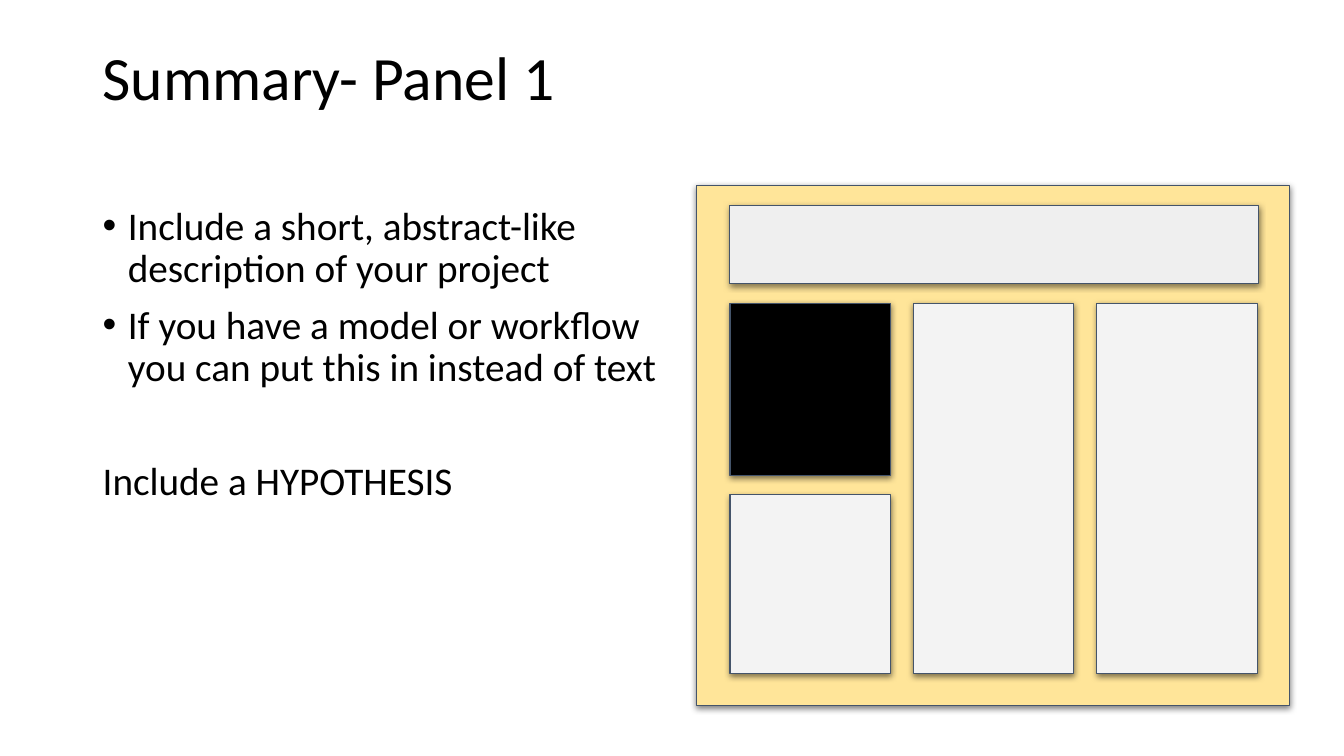
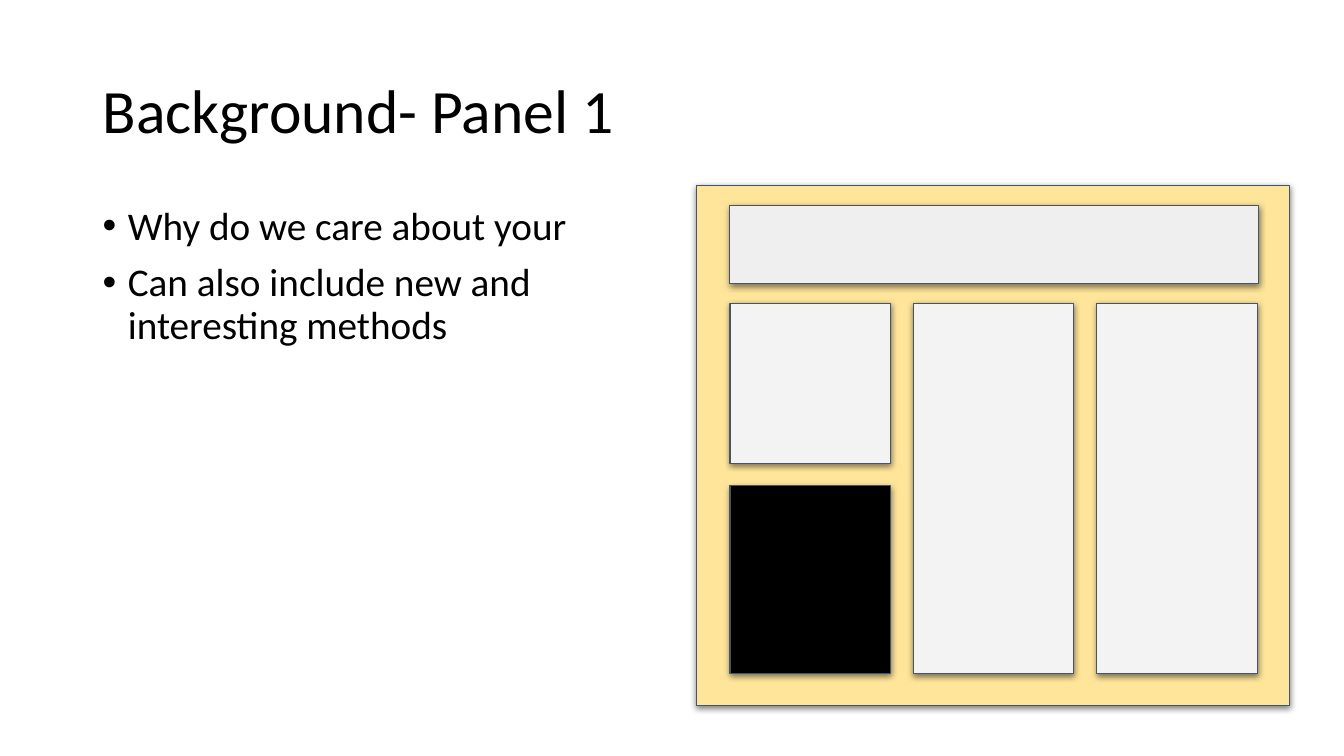
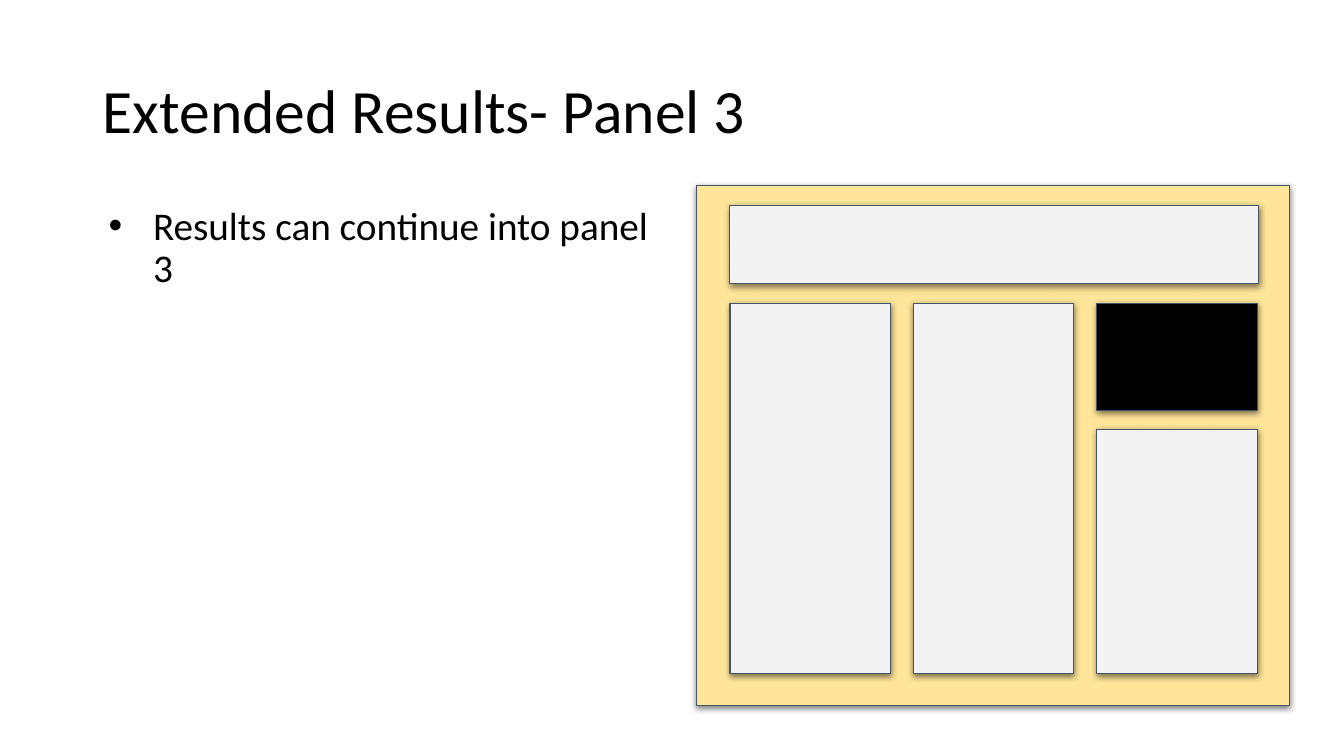
from dataclasses import dataclass

from lxml.etree import SubElement
from pptx import Presentation
from pptx.dml.color import RGBColor
from pptx.enum.shapes import MSO_SHAPE as Shape
from pptx.enum.text import MSO_ANCHOR as Anchor
from pptx.oxml.ns import qn
from pptx.util import Inches, Pt

# Shared style
FONT = "Calibri"
BLACK, BOARD, PANEL, HEADER, OUTLINE = "000000", "FFE599", "F3F3F3", "EFEFEF", "44546A"
TITLE_SIZE, BODY_SIZE = 44, 28

# Poster grid, in inches
COL_LEFT, COL_WIDTH, COL_STEP, COLS = 7.24, 1.59, 1.82, 3
COL_TOP, COL_HEIGHT = 3.01, 3.67


@dataclass(frozen=True)
class Para:
    text: str
    indent: float = 0.25
    hanging: float = 0.25
    before: float = 0
    bullet: bool = True


@dataclass(frozen=True)
class Split:
    """A poster column cut into an upper and a lower panel, one of them black."""
    col: int
    upper: float
    lower: float
    black_upper: bool


@dataclass(frozen=True)
class Page:
    title: str
    paras: list[Para]
    split: Split
    title_top: float = 0.4
    body_width: float = 5.75
    header: str = HEADER


PAGES = [
    Page("Summary- Panel 1",
         [Para("Include a short, abstract-like description of your project"),
          Para("If you have a model or workflow you can put this in instead of text", before=10),
          Para("Include a HYPOTHESIS", indent=0, hanging=0, before=51, bullet=False)],
         Split(0, 1.71, 1.77, True), title_top=0.07),
    Page("Background- Panel 1",
         [Para("Why do we care about your"),
          Para("Can also include new and interesting methods", before=10)],
         Split(0, 1.59, 1.86, False), body_width=5.77),
    Page("Extended Results- Panel 3",
         [Para("Results can continue into panel 3", indent=0.5, hanging=0.44)],
         Split(2, 1.06, 2.42, True), body_width=5.74, header=PANEL),
]


def rgb(color: str) -> RGBColor:
    return RGBColor.from_string(color)


def add_text(s, left: float, top: float, width: float, height: float,
             paras: list[Para], size: float, anchor=Anchor.TOP) -> None:
    tf = s.shapes.add_textbox(*map(Inches, (left, top, width, height))).text_frame
    tf.word_wrap = True
    tf.vertical_anchor = anchor
    for i, para in enumerate(paras):
        p = tf.paragraphs[0] if i == 0 else tf.add_paragraph()
        p.line_spacing = 0.9
        p.space_before = Pt(para.before)
        if para.bullet:
            pPr = p._p.get_or_add_pPr()
            pPr.set("marL", str(Inches(para.indent)))
            pPr.set("indent", str(-Inches(para.hanging)))
            SubElement(pPr, qn("a:buFont"), typeface="Arial")
            SubElement(pPr, qn("a:buChar"), char="•")
        r = p.add_run()
        r.text = para.text
        r.font.name, r.font.size = FONT, Pt(size)
        r.font.color.rgb = rgb(BLACK)


def add_panel(s, left: float, top: float, width: float, height: float, fill: str) -> None:
    sp = s.shapes.add_shape(Shape.RECTANGLE, *map(Inches, (left, top, width, height)))
    sp.fill.solid()
    sp.fill.fore_color.rgb = rgb(fill)
    sp.line.color.rgb = rgb(OUTLINE)
    sp.line.width = Pt(0.75)
    # Soft shadow straight below
    sp.shadow.inherit = False
    effects = sp._element.spPr.find(qn("a:effectLst"))
    shadow = SubElement(effects, qn("a:outerShdw"), blurRad=str(Pt(4.5)),
                        dist=str(Pt(1.5)), dir="5400000", algn="bl", rotWithShape="0")
    tint = SubElement(shadow, qn("a:srgbClr"), val=BLACK)
    SubElement(tint, qn("a:alpha"), val="50000")


def add_poster(s, split: Split, header: str) -> None:
    add_panel(s, 6.91, 1.84, 5.88, 5.16, BOARD)
    add_panel(s, COL_LEFT, 2.04, 5.24, 0.77, header)
    for col in range(COLS):
        left = COL_LEFT + col * COL_STEP
        if col != split.col:
            add_panel(s, left, COL_TOP, COL_WIDTH, COL_HEIGHT, PANEL)
            continue
        upper, lower = (BLACK, PANEL) if split.black_upper else (PANEL, BLACK)
        add_panel(s, left, COL_TOP, COL_WIDTH, split.upper, upper)
        add_panel(s, left, COL_TOP + COL_HEIGHT - split.lower, COL_WIDTH, split.lower, lower)


def main() -> None:
    prs = Presentation()
    prs.slide_width, prs.slide_height = Inches(13.33), Inches(7.5)
    for page in PAGES:
        s = prs.slides.add_slide(prs.slide_layouts[6])
        title = Para(page.title, bullet=False)
        add_text(s, 0.92, page.title_top, 11.5, 1.45, [title], TITLE_SIZE, Anchor.MIDDLE)
        add_text(s, 0.92, 2, page.body_width, 4.76, page.paras, BODY_SIZE)
        add_poster(s, page.split, page.header)
    prs.save("out.pptx")


if __name__ == "__main__":
    main()
